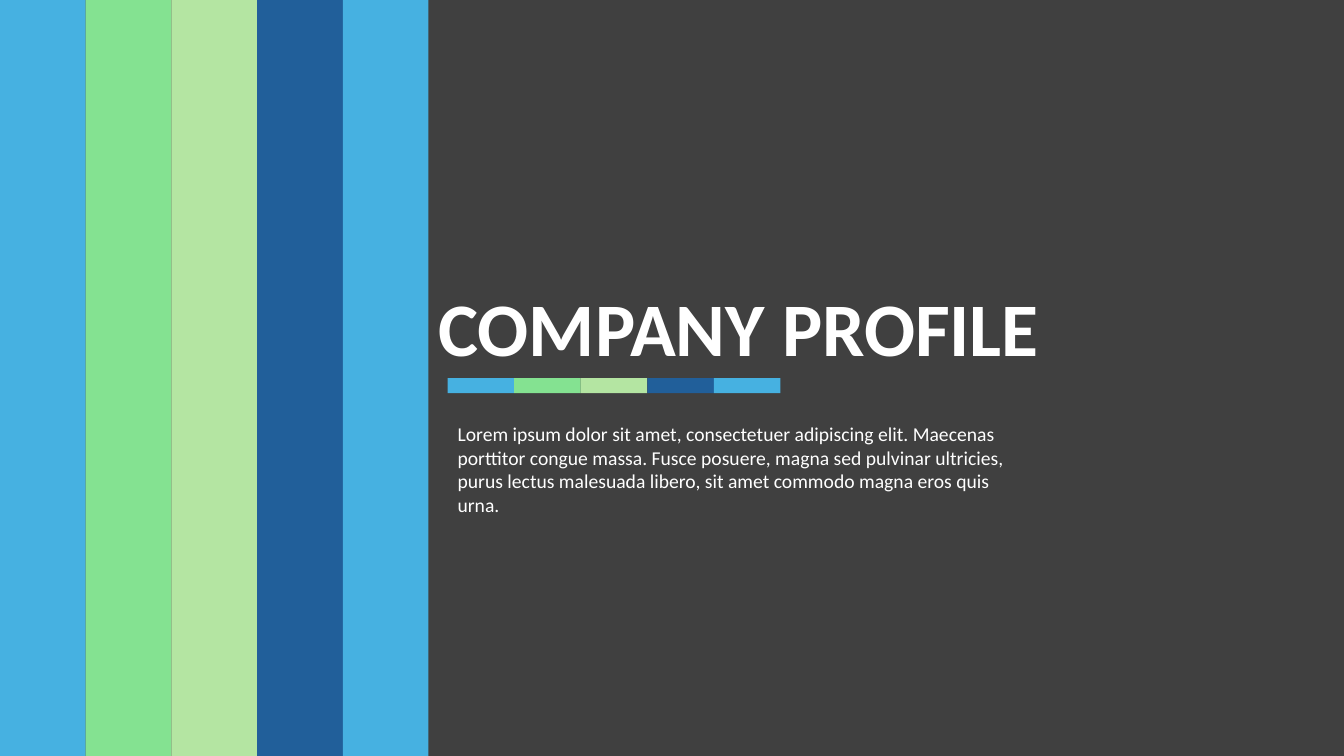
from pptx import Presentation
from pptx.dml.color import RGBColor
from pptx.enum.shapes import MSO_SHAPE
from pptx.util import Inches, Pt

RECTANGLE = MSO_SHAPE.RECTANGLE

TITLE = "COMPANY PROFILE"
SUMMARY = (
    "Lorem ipsum dolor sit amet, consectetuer adipiscing elit. Maecenas "
    "porttitor congue massa. Fusce posuere, magna sed pulvinar ultricies, "
    "purus lectus malesuada libero, sit amet commodo magna eros quis urna."
)

FONT = "Calibri"
WHITE = RGBColor(0xFF, 0xFF, 0xFF)
CHARCOAL = RGBColor(0x40, 0x40, 0x40)
SKY = RGBColor(0x46, 0xB1, 0xE1)
GREEN = RGBColor(0x84, 0xE2, 0x91)
PALE_GREEN = RGBColor(0xB4, 0xE5, 0xA2)
NAVY = RGBColor(0x21, 0x5F, 0x9A)
STRIPE_COLORS = [SKY, GREEN, PALE_GREEN, NAVY, SKY]

SLIDE_WIDTH, SLIDE_HEIGHT = 13.33, 7.5
STRIPE_WIDTH = 0.85
DIVIDER_LEFT, DIVIDER_TOP = 4.44, 3.75
DIVIDER_PART_WIDTH, DIVIDER_HEIGHT = 0.66, 0.15


def add_block(shapes, left, top, width, height, color):
    block = shapes.add_shape(
        RECTANGLE, Inches(left), Inches(top), Inches(width), Inches(height)
    )
    block.shadow.inherit = False
    block.fill.solid()
    block.fill.fore_color.rgb = color
    block.line.fill.background()


def add_stripes(shapes, left, top, width, height):
    """Place one block per stripe colour, side by side."""
    for index, color in enumerate(STRIPE_COLORS):
        add_block(shapes, left + index * width, top, width, height, color)


def add_text(shapes, text, left, top, width, height, size, bold=False):
    box = shapes.add_textbox(
        Inches(left), Inches(top), Inches(width), Inches(height)
    )
    frame = box.text_frame
    frame.word_wrap = True
    frame.text = text
    font = frame.paragraphs[0].runs[0].font
    font.name = FONT
    font.size = Pt(size)
    font.bold = bold
    font.color.rgb = WHITE


def main():
    deck = Presentation()
    deck.slide_width = Inches(SLIDE_WIDTH)
    deck.slide_height = Inches(SLIDE_HEIGHT)
    shapes = deck.slides.add_slide(deck.slide_layouts[6]).shapes

    add_block(shapes, 0, 0, SLIDE_WIDTH, SLIDE_HEIGHT, CHARCOAL)
    add_stripes(shapes, 0, 0, STRIPE_WIDTH, SLIDE_HEIGHT)

    title_left = STRIPE_WIDTH * len(STRIPE_COLORS)
    add_text(shapes, TITLE, title_left, 2.74, 6.17, 1.01, 54, bold=True)

    divider = shapes.add_group_shape()
    add_stripes(
        divider.shapes, DIVIDER_LEFT, DIVIDER_TOP,
        DIVIDER_PART_WIDTH, DIVIDER_HEIGHT,
    )
    add_text(shapes, SUMMARY, DIVIDER_LEFT, 4.14, 5.88, 1.28, 14)

    deck.save("out.pptx")


if __name__ == "__main__":
    main()
